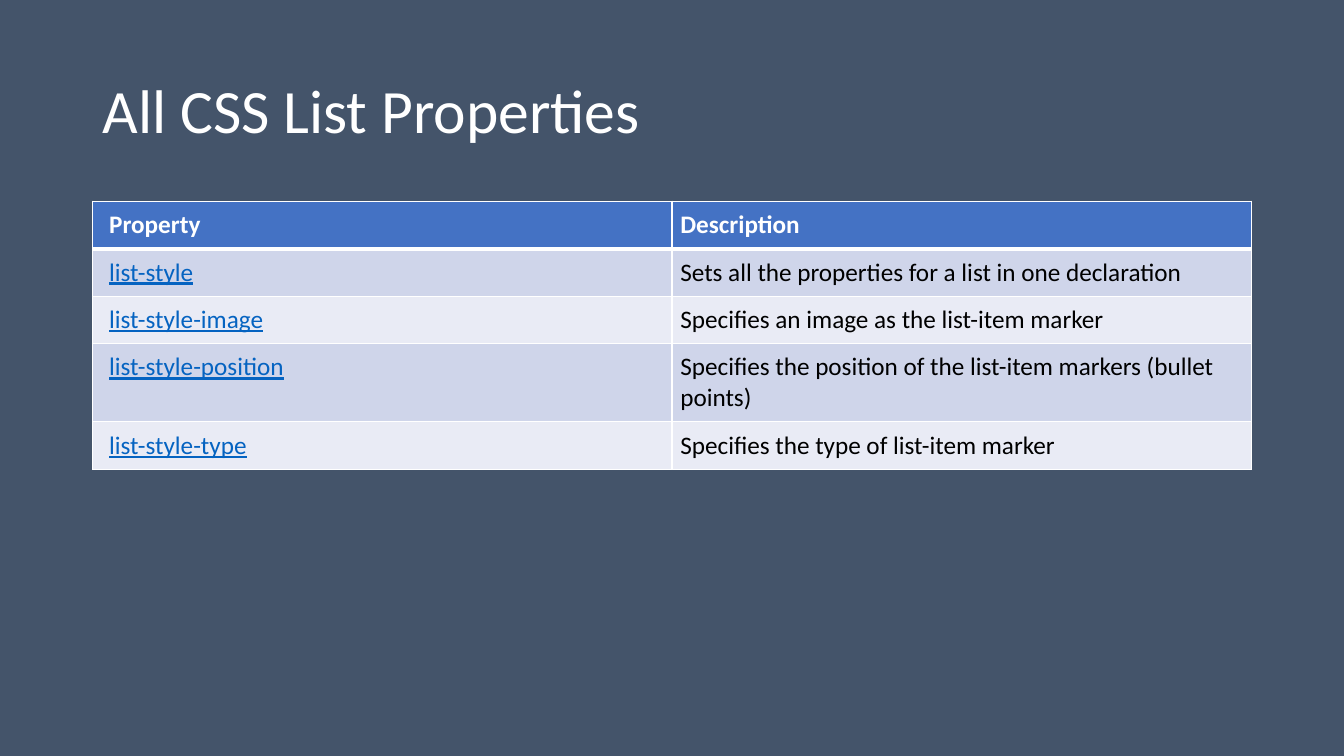
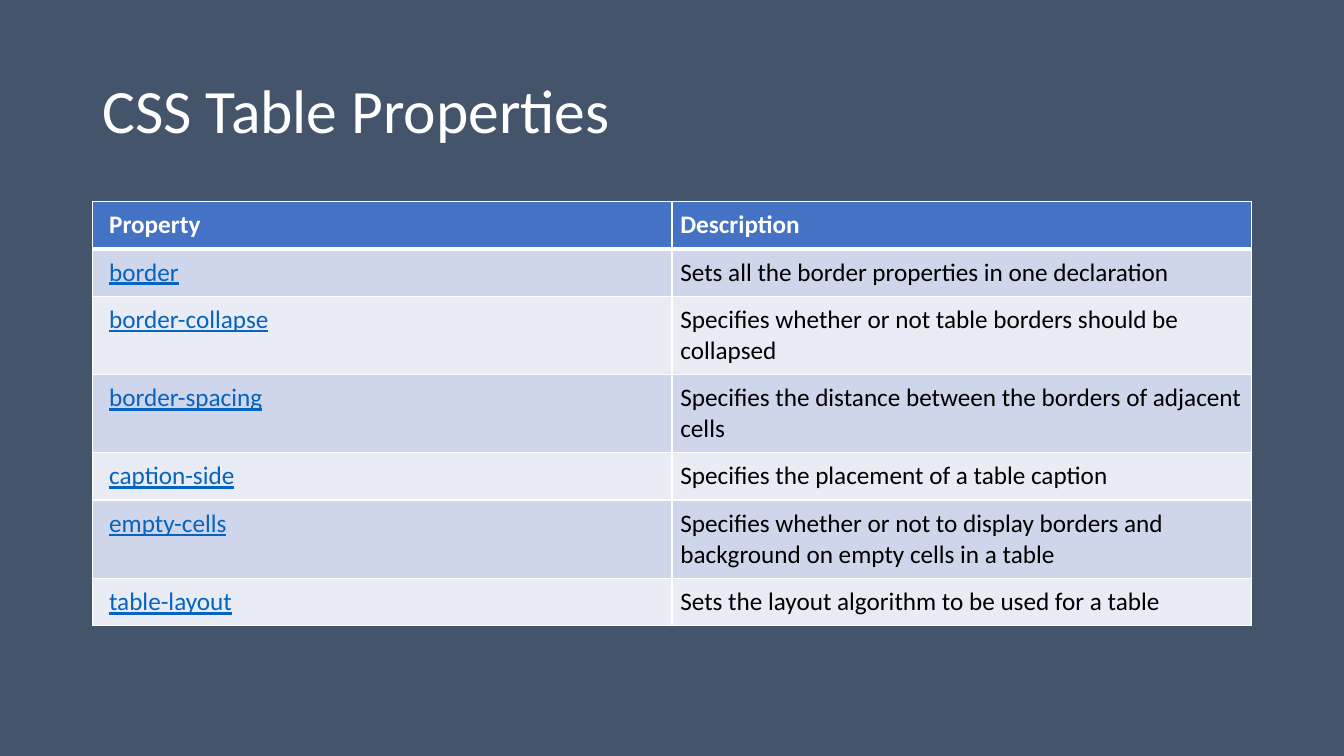
from dataclasses import dataclass
from typing import NamedTuple

from lxml.etree import SubElement
from pptx import Presentation
from pptx.dml.color import RGBColor as Color
from pptx.enum.text import MSO_ANCHOR as Anchor
from pptx.enum.text import MSO_AUTO_SIZE as AutoSize
from pptx.enum.text import PP_ALIGN as Align
from pptx.oxml.ns import qn
from pptx.util import Cm, Pt


@dataclass(frozen=True)
class Theme:
    font: str = "Calibri"
    title_size: int = 44
    table_size: int = 18
    background: str = "44546A"
    white: str = "FFFFFF"
    header: str = "4472C4"
    bands: tuple = ("CFD5EA", "E9EBF5")
    link: str = "0563C1"
    text: str = "000000"
    thin: int = 1
    thick: int = 3


class Box(NamedTuple):
    left: float
    top: float
    width: float
    height: float


THEME = Theme()
TITLE_ONLY = 5
TITLE_BOX = Box(2.33, 1.01, 29.21, 3.68)
TABLE_BOX = Box(2.33, 5.07, 29.21, 12.09)
ROW_HEIGHT = 1.19
CELL_INSET = 0.21
FIRST_INSET = 0.42

HEADINGS = ("Property", "Description")
LIST_ROWS = [
    ("list-style", "Sets all the properties for a list in one declaration"),
    ("list-style-image", "Specifies an image as the list-item marker"),
    ("list-style-position", "Specifies the position of the list-item markers (bullet points)"),
    ("list-style-type", "Specifies the type of list-item marker"),
]
TABLE_ROWS = [
    ("border", "Sets all the border properties in one declaration"),
    ("border-collapse", "Specifies whether or not table borders should be collapsed"),
    ("border-spacing", "Specifies the distance between the borders of adjacent cells"),
    ("caption-side", "Specifies the placement of a table caption"),
    ("empty-cells", "Specifies whether or not to display borders and background on empty cells in a table"),
    ("table-layout", "Sets the layout algorithm to be used for a table"),
]


def style_font(font, size, color, bold=False, underline=False):
    font.name = THEME.font
    font.size = Pt(size)
    font.color.rgb = Color.from_string(color)
    font.bold = bold
    font.underline = underline


def add_borders(cell, top, bottom):
    """Draw white cell borders; must run before the cell is filled."""
    properties = cell._tc.get_or_add_tcPr()
    widths = {"a:lnL": THEME.thin, "a:lnR": THEME.thin, "a:lnT": top, "a:lnB": bottom}
    for tag, width in widths.items():
        line = SubElement(properties, qn(tag), w=str(Pt(width)))
        SubElement(SubElement(line, qn("a:solidFill")), qn("a:srgbClr"), val=THEME.white)


def fill_cell(cell, text, row, column):
    is_header, is_link = row == 0, row > 0 and column == 0
    # Borders and fill; the rule under the header is heavier
    add_borders(
        cell,
        top=THEME.thick if row == 1 else THEME.thin,
        bottom=THEME.thick if is_header else THEME.thin,
    )
    cell.fill.solid()
    fill = THEME.header if is_header else THEME.bands[(row - 1) % 2]
    cell.fill.fore_color.rgb = Color.from_string(fill)
    # Text
    cell.margin_left = Cm(FIRST_INSET if column == 0 else CELL_INSET)
    cell.margin_right = cell.margin_top = cell.margin_bottom = Cm(CELL_INSET)
    cell.text_frame.text = text
    color = THEME.white if is_header else THEME.link if is_link else THEME.text
    span = cell.text_frame.paragraphs[0].runs[0]
    style_font(span.font, THEME.table_size, color, bold=is_header, underline=is_link)


def place_title(page, text, box):
    title = page.shapes.title
    title.left, title.top, title.width, title.height = map(Cm, box)
    frame = title.text_frame
    frame.text = text
    frame.word_wrap = True
    frame.auto_size = AutoSize.NONE
    frame.vertical_anchor = Anchor.MIDDLE
    para = frame.paragraphs[0]
    para.alignment = Align.LEFT
    para.line_spacing = 0.9
    style_font(para.runs[0].font, THEME.title_size, THEME.white)


def place_table(page, rows, box):
    content = [HEADINGS, *rows]
    table = page.shapes.add_table(
        len(content), len(HEADINGS), Cm(box.left), Cm(box.top),
        Cm(box.width), Cm(ROW_HEIGHT * len(content)),
    ).table
    for column in table.columns:
        column.width = Cm(box.width / len(HEADINGS))
    for row, texts in enumerate(content):
        table.rows[row].height = Cm(ROW_HEIGHT)
        for column, text in enumerate(texts):
            fill_cell(table.cell(row, column), text, row, column)


def add_property_page(deck, title, rows):
    page = deck.slides.add_slide(deck.slide_layouts[TITLE_ONLY])
    place_title(page, title, TITLE_BOX)
    place_table(page, rows, TABLE_BOX)


def main():
    deck = Presentation()
    deck.slide_width, deck.slide_height = Cm(33.87), Cm(19.05)
    # Shared background
    backdrop = deck.slide_master.background.fill
    backdrop.solid()
    backdrop.fore_color.rgb = Color.from_string(THEME.background)
    # Pages
    add_property_page(deck, "All CSS List Properties", LIST_ROWS)
    add_property_page(deck, "CSS Table Properties", TABLE_ROWS)
    deck.save("out.pptx")


if __name__ == "__main__":
    main()
